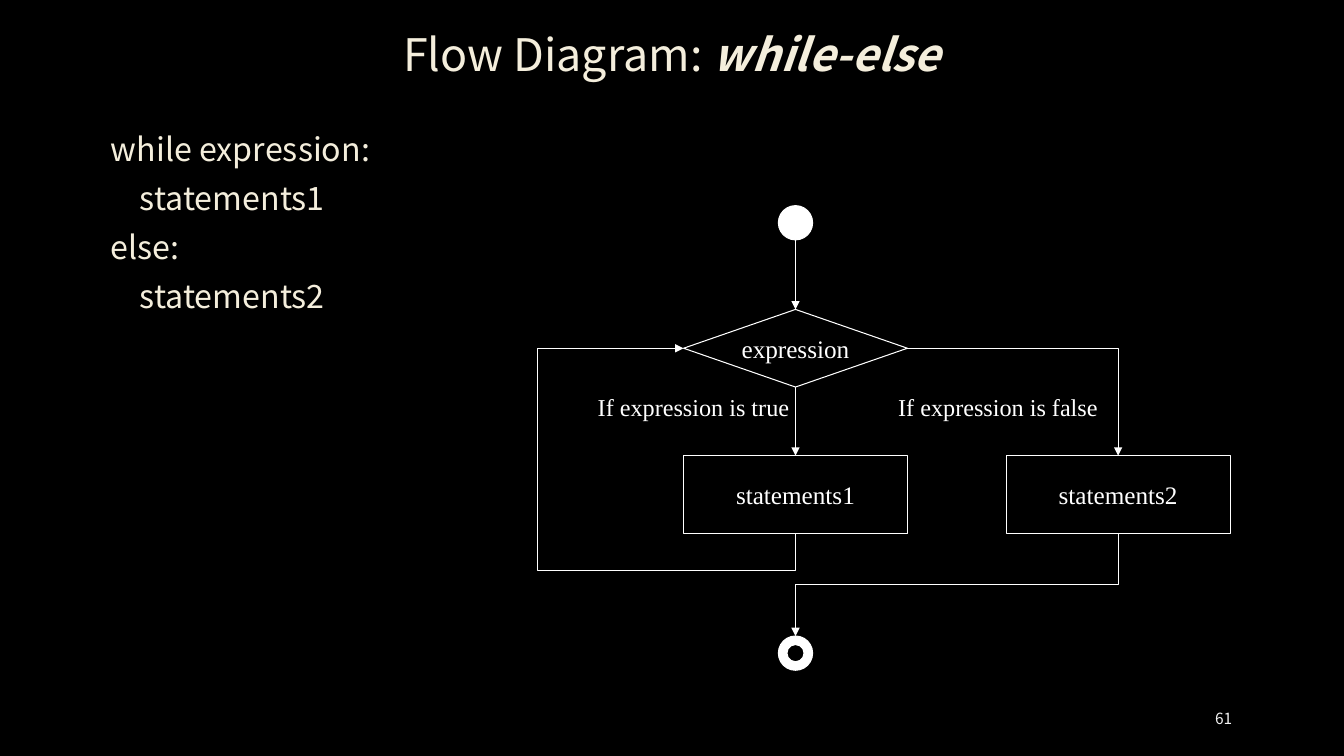
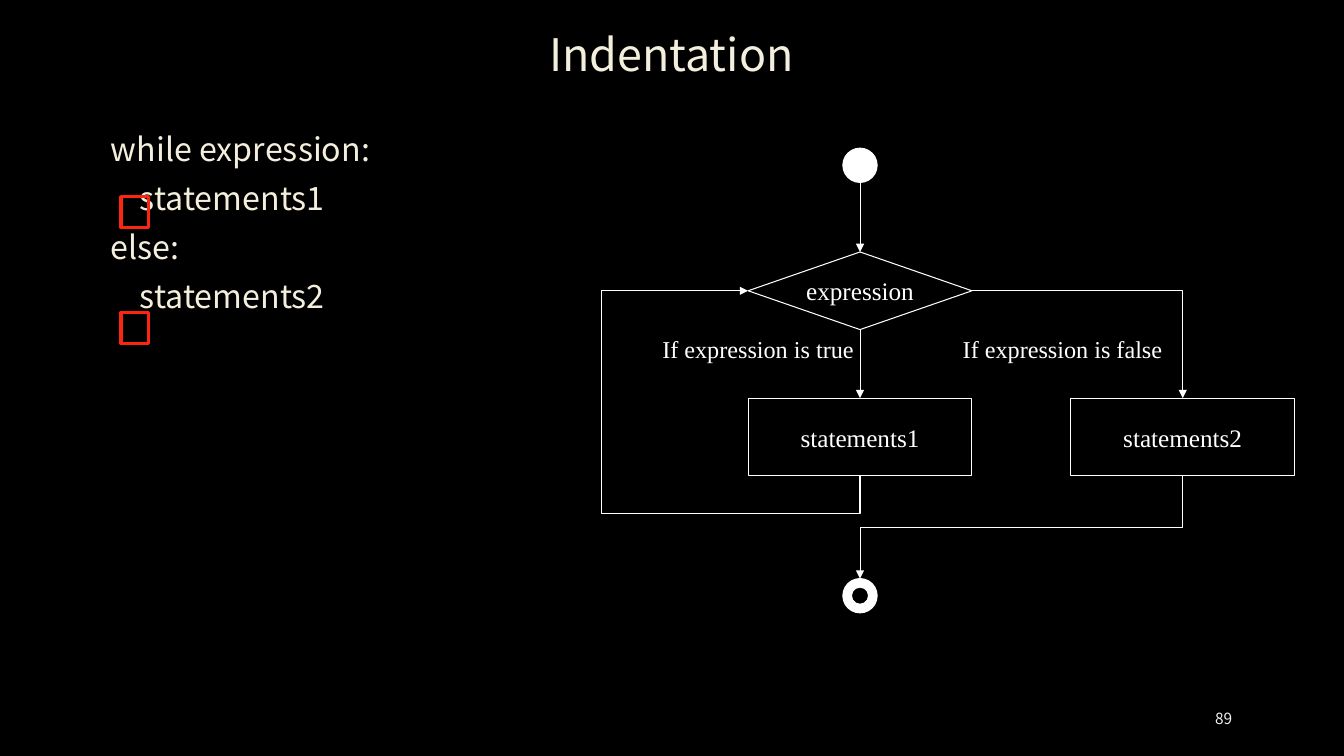
import pptx
import pptx.util
import pptx.dml.color
import pptx.enum.shapes
import pptx.enum.text
import pptx.oxml.ns
from lxml import etree

# Content
CODE = ["while expression:", "    statements1", "else:", "    statements2"]
PAGES = [
    {"title": [("Flow Diagram: ", False), ("while-else", True)], "number": "61",
     "diagram": (789, 204), "marks": []},
    {"title": [("Indentation", False)], "number": "89",
     "diagram": (853, 147), "marks": [(120, 195), (120, 310)]},
]

# Shared look
COLORS = {"back": "000000", "cream": "F4EEDC", "pale": "F2F2F2",
          "white": "FFFFFF", "mark": "FC2610"}
SANS, SERIF = "Noto Sans CJK KR", "Times New Roman"
PX = 9144  # EMU, 100 px to the inch
TITLE_BOX, BODY_BOX = (100, 15, 1132, 84), (100, 123, 1132, 510)
NUMBER_BOX = (1150, 693, 82, 40)
MARK_SIZE = (27, 31)

# Flow diagram, measured from the top of the start dot on its axis
NODE_W, NODE_H, DOT = 222, 77, 34
TEST_TOP, STEP_TOP, END_TOP = 103, 248, 427
ELSE_SHIFT, LOOP_LEFT, LOOP_DROP = 320, 256, 37
LABELS = [("If expression is true", -206), ("If expression is false", 92)]

SHAPE = pptx.enum.shapes.MSO_SHAPE
ALIGN = pptx.enum.text.PP_ALIGN
ANCHOR = pptx.enum.text.MSO_ANCHOR


def emu(*lengths):
    return [pptx.util.Emu(round(length * PX)) for length in lengths]


def rgb(name):
    return pptx.dml.color.RGBColor.from_string(COLORS[name])


def write(frame, lines, font=SANS, size=23, color="cream", align=ALIGN.LEFT,
          anchor=ANCHOR.TOP, wrap=True, spacing=1.0, after=0, plain=False):
    """Fill a text frame; each line is a list of (text, emphasized) spans."""
    frame.word_wrap = wrap
    frame.auto_size = pptx.enum.text.MSO_AUTO_SIZE.NONE
    frame.vertical_anchor = anchor
    for index, line in enumerate(lines):
        para = frame.add_paragraph() if index else frame.paragraphs[0]
        if plain:
            props = para._p.get_or_add_pPr()
            props.set("marL", "0")
            props.set("indent", "0")
            etree.SubElement(props, pptx.oxml.ns.qn("a:buNone"))
        para.alignment = align
        para.line_spacing = spacing
        para.space_before = pptx.util.Pt(0)
        para.space_after = pptx.util.Pt(after)
        for text, emphasized in line:
            span = para.add_run()
            span.text = text
            span.font.name = font
            span.font.size = pptx.util.Pt(size)
            span.font.color.rgb = rgb(color)
            if emphasized:
                span.font.bold = span.font.italic = True


def add_text(page, box, text, **style):
    write(page.shapes.add_textbox(*emu(*box)).text_frame, [[(text, False)]], **style)


def add_node(page, kind, box, text="", fill=None, line="white", width=0.75):
    node = page.shapes.add_shape(kind, *emu(*box))
    node.shadow.inherit = False
    if fill:
        node.fill.solid()
        node.fill.fore_color.rgb = rgb(fill)
    else:
        node.fill.background()
    node.line.color.rgb = rgb(line)
    node.line.width = pptx.util.Pt(width)
    if text:
        write(node.text_frame, [[(text, False)]], font=SERIF, size=18, color="white",
              align=ALIGN.CENTER, anchor=ANCHOR.MIDDLE, wrap=False)


def add_arrow(page, start, end, preset="line", turned=False, flipped=False, adjust=()):
    """Draw an arrow; a turned one leaves vertically, by a quarter rotation."""
    (x1, y1), (x2, y2) = start, end
    if turned:
        across, down = abs(y2 - y1), abs(x2 - x1)
        x1, y1 = (x1 + x2 - across) / 2, (y1 + y2 - down) / 2
        x2, y2 = x1 + across, y1 + down
    arrow = page.shapes.add_connector(
        pptx.enum.shapes.MSO_CONNECTOR.STRAIGHT, *emu(x1, y1, x2, y2))
    arrow.line.color.rgb = rgb("white")
    arrow.line.width = pptx.util.Pt(0.75)
    qn = pptx.oxml.ns.qn
    props = arrow._element.spPr
    if turned:
        props.xfrm.set("rot", "5400000")
    if flipped:
        props.xfrm.set("flipH", "1")
    geometry = props.find(qn("a:prstGeom"))
    geometry.set("prst", preset)
    guides = geometry.find(qn("a:avLst"))
    if guides is None:
        guides = etree.SubElement(geometry, qn("a:avLst"))
    for index, value in enumerate(adjust, 1):
        etree.SubElement(guides, qn("a:gd"), name=f"adj{index}",
                         fmla=f"val {round(value * 100000)}")
    etree.SubElement(props.find(qn("a:ln")), qn("a:tailEnd"), type="triangle")
    etree.SubElement(props, qn("a:effectLst"))


def add_diagram(page, axis, top):
    left, right = axis - NODE_W / 2, axis + NODE_W / 2
    test, step, finish = top + TEST_TOP, top + STEP_TOP, top + END_TOP
    middle, bottom = test + NODE_H / 2, step + NODE_H
    other = axis + ELSE_SHIFT

    # Nodes
    add_node(page, SHAPE.DIAMOND, (left, test, NODE_W, NODE_H), "expression")
    for shift, text in [(0, "statements1"), (ELSE_SHIFT, "statements2")]:
        add_node(page, SHAPE.RECTANGLE, (left + shift, step, NODE_W, NODE_H), text)
    for kind, dot_top in [(SHAPE.OVAL, top), (SHAPE.DONUT, finish)]:
        add_node(page, kind, (axis - DOT / 2, dot_top, DOT, DOT), fill="white")

    # Straight arrows, then the loop, the else branch and the way out
    add_arrow(page, (axis, top + DOT), (axis, test))
    add_arrow(page, (axis, test + NODE_H), (axis, step))
    add_arrow(page, (axis, bottom), (left, middle), "bentConnector4", True, True,
              (-LOOP_DROP / (bottom - middle), LOOP_LEFT / (axis - left)))
    add_arrow(page, (right, middle), (other, step), "bentConnector2")
    add_arrow(page, (other, bottom), (axis, finish), "bentConnector3", True)

    # Branch labels
    for text, shift in LABELS:
        add_text(page, (axis + shift, test + NODE_H, 249, 39), text,
                 font=SERIF, size=17.3, color="white")


def main():
    deck = pptx.Presentation()
    deck.slide_width, deck.slide_height = emu(1333, 750)
    background = deck.slide_master.background.fill
    background.solid()
    background.fore_color.rgb = rgb("back")
    layout = deck.slide_layouts[1]
    for holder, box in zip(layout.placeholders, (TITLE_BOX, BODY_BOX)):
        holder.left, holder.top, holder.width, holder.height = emu(*box)

    for content in PAGES:
        page = deck.slides.add_slide(layout)
        write(page.shapes.title.text_frame, [content["title"]], size=32,
              align=ALIGN.CENTER, anchor=ANCHOR.MIDDLE, spacing=0.9)
        write(page.placeholders[1].text_frame, [[(line, False)] for line in CODE],
              after=7.6, plain=True)
        add_text(page, NUMBER_BOX, content["number"], size=11, color="pale",
                 align=ALIGN.RIGHT, anchor=ANCHOR.MIDDLE)
        for corner in content["marks"]:
            add_node(page, SHAPE.RECTANGLE, corner + MARK_SIZE, line="mark", width=2.25)
        add_diagram(page, *content["diagram"])
    deck.save("out.pptx")


if __name__ == "__main__":
    main()
